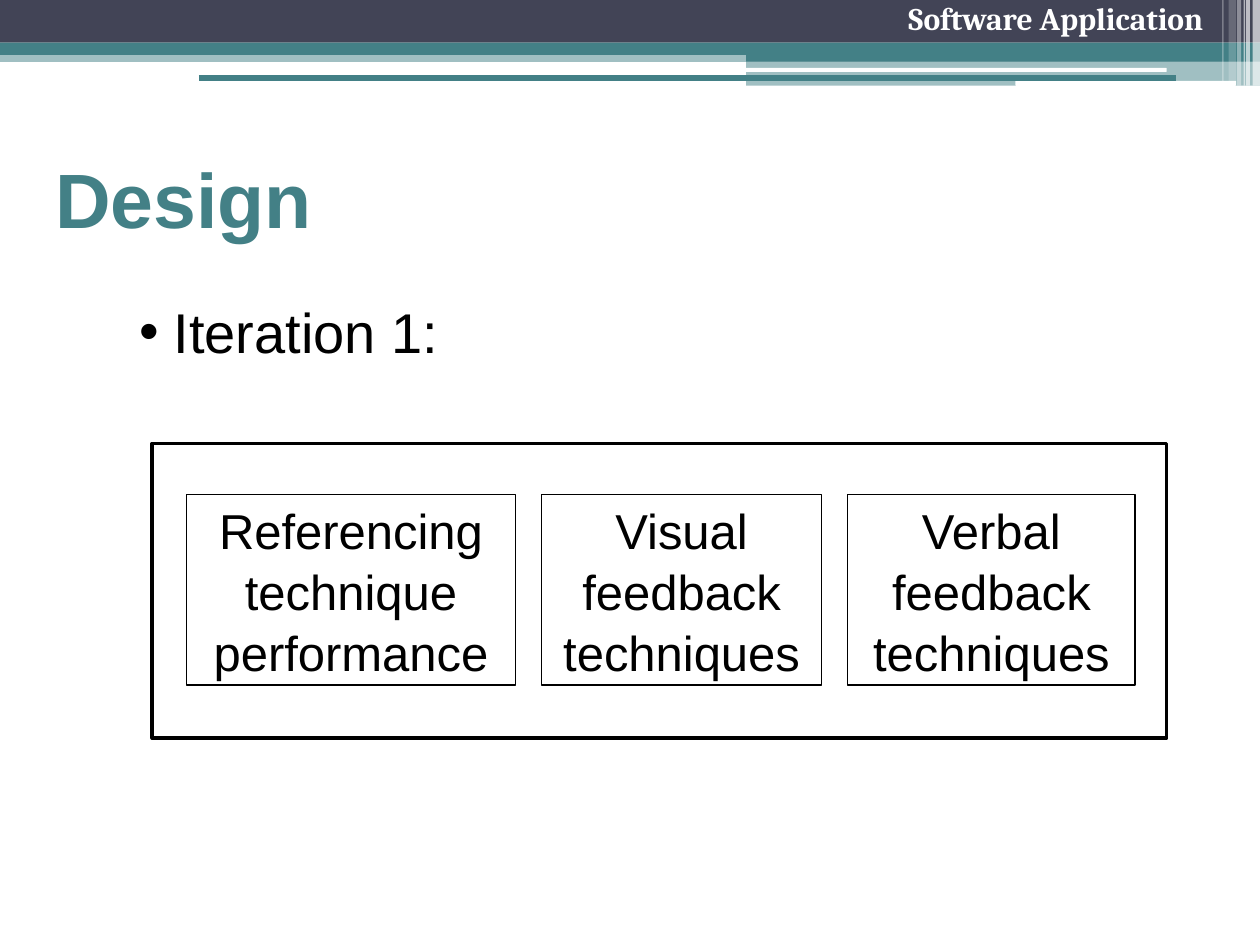
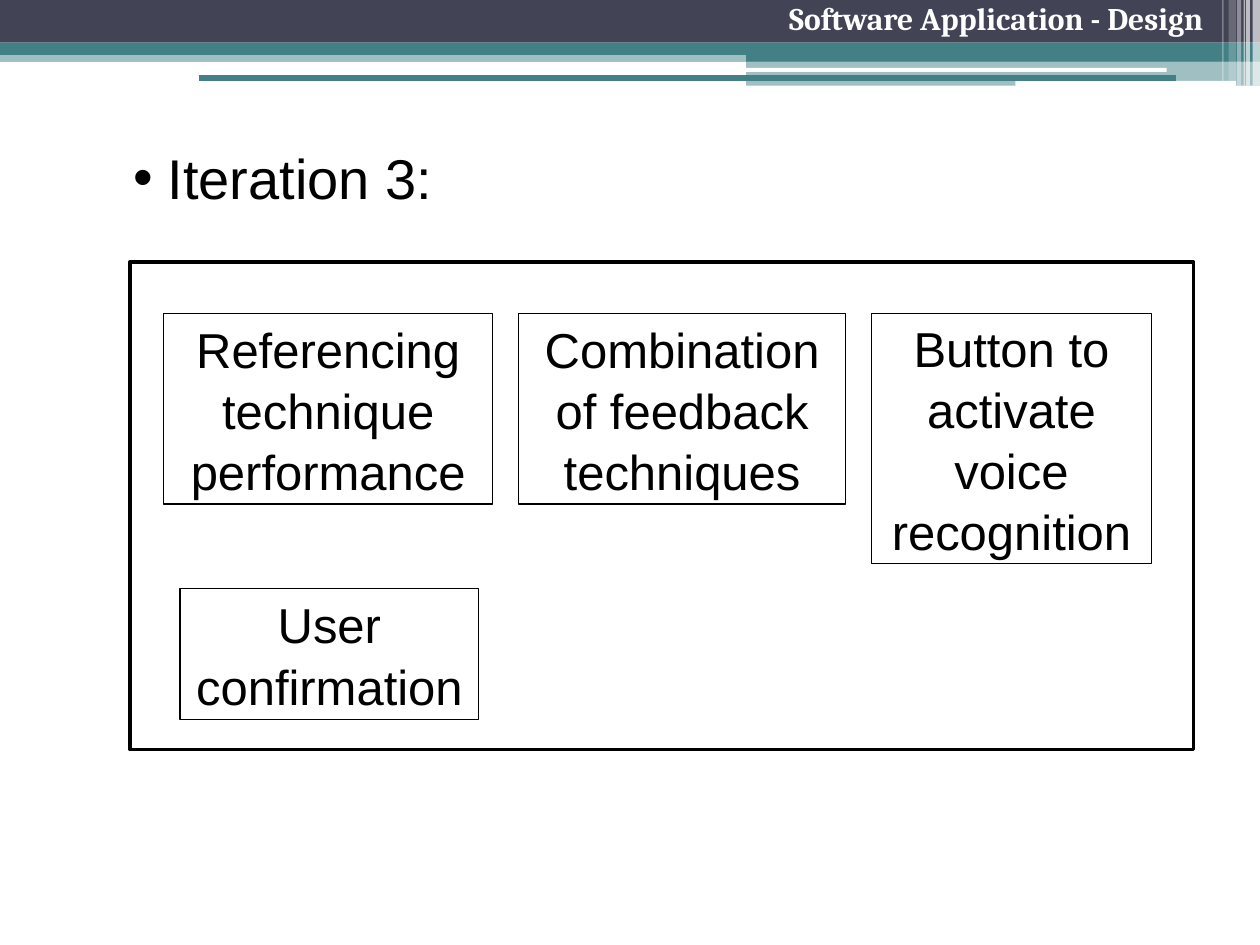
from dataclasses import dataclass

from lxml.etree import SubElement
from pptx import Presentation
from pptx.dml.color import RGBColor
from pptx.enum.shapes import MSO_CONNECTOR, MSO_SHAPE
from pptx.enum.text import MSO_ANCHOR, MSO_AUTO_SIZE, PP_ALIGN
from pptx.oxml.ns import qn
from pptx.util import Cm, Pt

COLORS = {
    "teal": "438086",
    "slate": "424456",
    "white": "FFFFFF",
    "black": "000000",
}
BODY_FONT = "Arial"
HEADER_FONT = "Cambria"
SLIDE_WIDTH, SLIDE_HEIGHT = 25.4, 19.05
TITLE_ONLY, BLANK = 5, 6
BOX_GAP = 0.53
BOX_PADDING, BOX_LINE_HEIGHT = 0.24, 1.2


@dataclass
class Area:
    left: float
    top: float
    width: float
    height: float

    def lengths(self) -> tuple:
        return Cm(self.left), Cm(self.top), Cm(self.width), Cm(self.height)


@dataclass
class Band:
    area: Area
    color: str
    opacity: int = 100
    rounded: bool = False


@dataclass
class Feature:
    text: str
    width: float
    lines: int = 3


@dataclass
class FeatureRow:
    left: float
    top: float
    features: list[Feature]


@dataclass
class Iteration:
    header: str
    label: str
    label_area: Area
    frame: Area
    rows: list[FeatureRow]
    title: str = ""


HALF_LEFT, HALF_WIDTH = 15.04, 10.36
BANDS = [
    Band(Area(0, 1.02, SLIDE_WIDTH, 0.23), "teal", 50),
    Band(Area(0, 0, SLIDE_WIDTH, 0.86), "slate"),
    Band(Area(0, 0.86, SLIDE_WIDTH, 0.25), "teal"),
    Band(Area(HALF_LEFT, 0.99, HALF_WIDTH, 0.25), "teal"),
    Band(Area(HALF_LEFT, 1.22, HALF_WIDTH, 0.51), "teal", 50),
    Band(Area(15.01, 1.37, 8.51, 0.08), "white", rounded=True),
    Band(Area(20.47, 1.63, 4.45, 0.1), "white", rounded=True),
    Band(Area(25.25, 0, 0.15, 1.73), "white", 65),
    Band(Area(25.12, 0, 0.08, 1.73), "white", 65),
    Band(Area(25.07, 0, 0.03, 1.73), "white", 60),
    Band(Area(24.94, 0, 0.08, 1.73), "white", 40),
    Band(Area(24.77, 0, 0.15, 1.63), "white", 20),
    Band(Area(24.64, 0, 0.03, 1.63), "white", 30),
]

ITERATIONS = [
    Iteration(
        title="Design",
        header="Software Application",
        label="Iteration 1:",
        label_area=Area(1.42, 5.87, 22.99, 1.88),
        frame=Area(3.07, 8.94, 20.45, 5.94),
        rows=[
            FeatureRow(3.76, 9.97, [
                Feature("Referencing technique performance", 6.63),
                Feature("Visual feedback techniques", 5.64),
                Feature("Verbal feedback\ntechniques", 5.79),
            ]),
        ],
    ),
    Iteration(
        header="Software Application - Design",
        label="Iteration 3:",
        label_area=Area(1.3, 2.77, 23.24, 2.06),
        frame=Area(2.62, 5.28, 21.44, 9.83),
        rows=[
            FeatureRow(3.3, 6.32, [
                Feature("Referencing technique performance", 6.63),
                Feature("Combination of feedback techniques", 6.58),
                Feature("Button to activate voice recognition", 5.64, lines=4),
            ]),
            FeatureRow(3.63, 11.86, [Feature("User confirmation", 6.02, lines=2)]),
        ],
    ),
]


def rgb(name: str) -> RGBColor:
    return RGBColor.from_string(COLORS[name])


def format_text(frame, size: float, color: str = "black", font: str = BODY_FONT,
                bold: bool = False, align=PP_ALIGN.LEFT) -> None:
    frame.word_wrap = True
    frame.auto_size = MSO_AUTO_SIZE.NONE
    for para in frame.paragraphs:
        para.alignment = align
        for span in para.runs:
            span.font.size = Pt(size)
            span.font.name = font
            span.font.bold = bold
            span.font.color.rgb = rgb(color)


def add_band(page, band: Band):
    kind = MSO_SHAPE.ROUNDED_RECTANGLE if band.rounded else MSO_SHAPE.RECTANGLE
    shape = page.shapes.add_shape(kind, *band.area.lengths())
    shape.shadow.inherit = False
    shape.line.fill.background()
    shape.fill.solid()
    shape.fill.fore_color.rgb = rgb(band.color)
    if band.opacity < 100:
        color = shape.element.spPr.find(qn("a:solidFill"))[0]
        SubElement(color, qn("a:alpha"), val=str(band.opacity * 1000))
    return shape


def move_bands_to_master(deck, page) -> None:
    """Draw the bands on a page, then hand them to the master all slides share."""
    tree = deck.slide_master.element.cSld.spTree
    for band in BANDS:
        tree.append(add_band(page, band).element)


def add_header(page, text: str) -> None:
    box = page.shapes.add_textbox(*Area(9.7, 0, 14.81, 1.27).lengths())
    box.text_frame.text = text
    para = box.text_frame.paragraphs[0]
    para.line_spacing = 0.8
    para.space_before = Pt(3.6)
    format_text(box.text_frame, 18, "white", HEADER_FONT, True, PP_ALIGN.RIGHT)

    rule = page.shapes.add_connector(
        MSO_CONNECTOR.STRAIGHT, Cm(4.01), Cm(1.57), Cm(23.7), Cm(1.57))
    rule.line.color.rgb = rgb("teal")
    rule.line.width = Pt(3)
    SubElement(rule.element.spPr, qn("a:effectLst"))


def format_title(page, text: str) -> None:
    title = page.shapes.title
    title.left, title.top, title.width, title.height = Area(
        0.86, 2.49, 17.37, 3).lengths()
    title.text_frame.text = text
    title.text_frame.vertical_anchor = MSO_ANCHOR.MIDDLE
    format_text(title.text_frame, 44, "teal", bold=True)


def add_bullet_label(page, text: str, area: Area) -> None:
    box = page.shapes.add_textbox(*area.lengths())
    box.text_frame.text = text
    para = box.text_frame.paragraphs[0]
    para.space_before = Pt(3)
    format_text(box.text_frame, 32)
    properties = para._p.get_or_add_pPr()
    properties.set("marL", str(Cm(1.83)))
    properties.set("indent", str(Cm(-0.69)))
    SubElement(properties, qn("a:buFont"), typeface=BODY_FONT)
    SubElement(properties, qn("a:buChar"), char="•")


def add_outline(page, area: Area, weight: float):
    box = page.shapes.add_shape(MSO_SHAPE.RECTANGLE, *area.lengths())
    box.shadow.inherit = False
    box.fill.background()
    box.line.color.rgb = rgb("black")
    box.line.width = Pt(weight)
    return box


def add_feature_row(page, row: FeatureRow) -> None:
    left = row.left
    for feature in row.features:
        height = BOX_PADDING + BOX_LINE_HEIGHT * feature.lines
        box = add_outline(page, Area(left, row.top, feature.width, height), 0.75)
        frame = box.text_frame
        frame.text = feature.text
        frame.vertical_anchor = MSO_ANCHOR.MIDDLE
        for para in frame.paragraphs:
            para.line_spacing = 1.04
        format_text(frame, 28, align=PP_ALIGN.CENTER)
        left += feature.width + BOX_GAP


def add_iteration(deck, iteration: Iteration):
    layout = deck.slide_layouts[TITLE_ONLY if iteration.title else BLANK]
    page = deck.slides.add_slide(layout)
    add_header(page, iteration.header)
    if iteration.title:
        format_title(page, iteration.title)
    add_bullet_label(page, iteration.label, iteration.label_area)
    add_outline(page, iteration.frame, 2)
    for row in iteration.rows:
        add_feature_row(page, row)
    return page


def main() -> None:
    deck = Presentation()
    deck.slide_width, deck.slide_height = Cm(SLIDE_WIDTH), Cm(SLIDE_HEIGHT)
    pages = [add_iteration(deck, iteration) for iteration in ITERATIONS]
    move_bands_to_master(deck, pages[0])
    deck.save("out.pptx")


if __name__ == "__main__":
    main()
